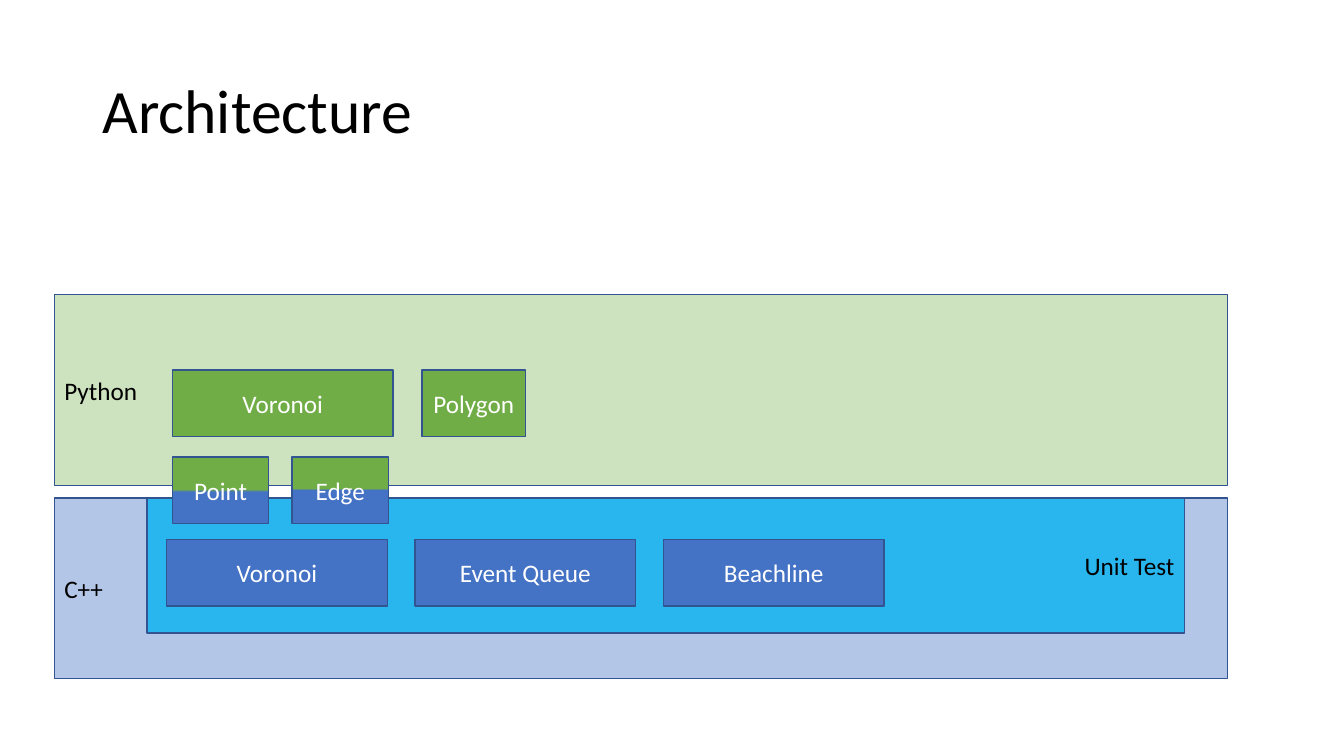
import pptx
import pptx.util
import pptx.dml.color
import pptx.enum.shapes
import pptx.enum.text
import pptx.oxml.ns
import lxml.etree

Pt = pptx.util.Pt
RGB = pptx.dml.color.RGBColor.from_string
ALIGN = pptx.enum.text.PP_ALIGN
MIDDLE = pptx.enum.text.MSO_ANCHOR.MIDDLE
qn = pptx.oxml.ns.qn

THEME = {
    "font": "Calibri", "title_size": 44, "label_size": 18,
    "black": "000000", "white": "FFFFFF", "outline": "325491",
    "python": "70AD47", "cpp": "4472C4", "test": "00B0F0",
    "light_green": "92D050", "light_blue": "ABC0E4",
}


def write(shape, text, size, color, align):
    """Put one line of formatted text in a shape."""
    frame = shape.text_frame
    frame.word_wrap = True
    frame.vertical_anchor = MIDDLE
    para = frame.paragraphs[0]
    para.alignment = align
    span = para.add_run()
    span.text = text
    formats = {"name": THEME["font"], "size": Pt(size), "bold": False}
    for name, value in formats.items():
        setattr(span.font, name, value)
    span.font.color.rgb = RGB(THEME[color])
    return para


def add_box(page, text, place, fill, color="white", align=ALIGN.CENTER):
    """Add an outlined rectangle with a solid fill and a label."""
    box = page.shapes.add_shape(
        pptx.enum.shapes.MSO_SHAPE.RECTANGLE, *[Pt(length) for length in place])
    box.shadow.inherit = False
    box.fill.solid()
    box.fill.fore_color.rgb = RGB(THEME[fill])
    box.line.color.rgb = RGB(THEME["outline"])
    box.line.width = Pt(1)
    write(box, text, THEME["label_size"], color, align)
    return box


deck = pptx.Presentation()
deck.slide_width, deck.slide_height = Pt(960), Pt(540)
page = deck.slides.add_slide(deck.slide_layouts[5])

# Title
title = page.shapes.title
title_place = {"left": 66, "top": 28.75, "width": 828, "height": 104.4}
for name, value in title_place.items():
    setattr(title, name, Pt(value))
heading = write(title, "Architecture", THEME["title_size"], "black", ALIGN.LEFT)
heading.line_spacing = 0.9

# Translucent language layers and the part under test
layers = [
    ("Python", (38.9, 210.2, 838.1, 136.8), "python", 35, ALIGN.LEFT),
    ("C++", (38.9, 355.7, 838.1, 128.9), "cpp", 40, ALIGN.JUSTIFY),
    ("Unit Test", (105.1, 355.7, 740.9, 96.5), "test", 77, ALIGN.RIGHT),
]
for text, place, fill, opacity, align in layers:
    layer = add_box(page, text, place, fill, "black", align)
    tint = layer.fill._xPr.find(qn("a:solidFill")).find(qn("a:srgbClr"))
    lxml.etree.SubElement(tint, qn("a:alpha"), val=str(opacity * 1000))

# C++ components at an even pitch
box_width, box_height, pitch = 157.7, 47.7, 177.4
for column, text in enumerate(["Voronoi", "Event Queue", "Beachline"]):
    add_box(page, text, (119 + column * pitch, 385.2, box_width, box_height), "cpp")

# Python components
python_left = 123.1
for text, left, width in [("Voronoi", python_left, box_width), ("Polygon", 301.5, 73.8)]:
    add_box(page, text, (left, 264.2, width, box_height), "python")

# Shared types: green upper half, blue lower half
shared = [("Point", python_left, 49, 53), ("Edge", 208.6, 48, 50)]
for text, left, green_end, blue_start in shared:
    box = add_box(page, text, (left, 326.3, 68.9, box_height), "python")
    box.fill.gradient()
    box.fill.gradient_angle = 270
    stops = box.fill._xPr.find(qn("a:gradFill")).find(qn("a:gsLst"))
    for stop in list(stops):
        stops.remove(stop)
    for percent, color in [(0, "light_green"), (0, "python"), (green_end, "python"),
                           (blue_start, "cpp"), (99, "cpp"), (100, "light_blue")]:
        stop = lxml.etree.SubElement(stops, qn("a:gs"), pos=str(percent * 1000))
        lxml.etree.SubElement(stop, qn("a:srgbClr"), val=THEME[color])

deck.save("out.pptx")
